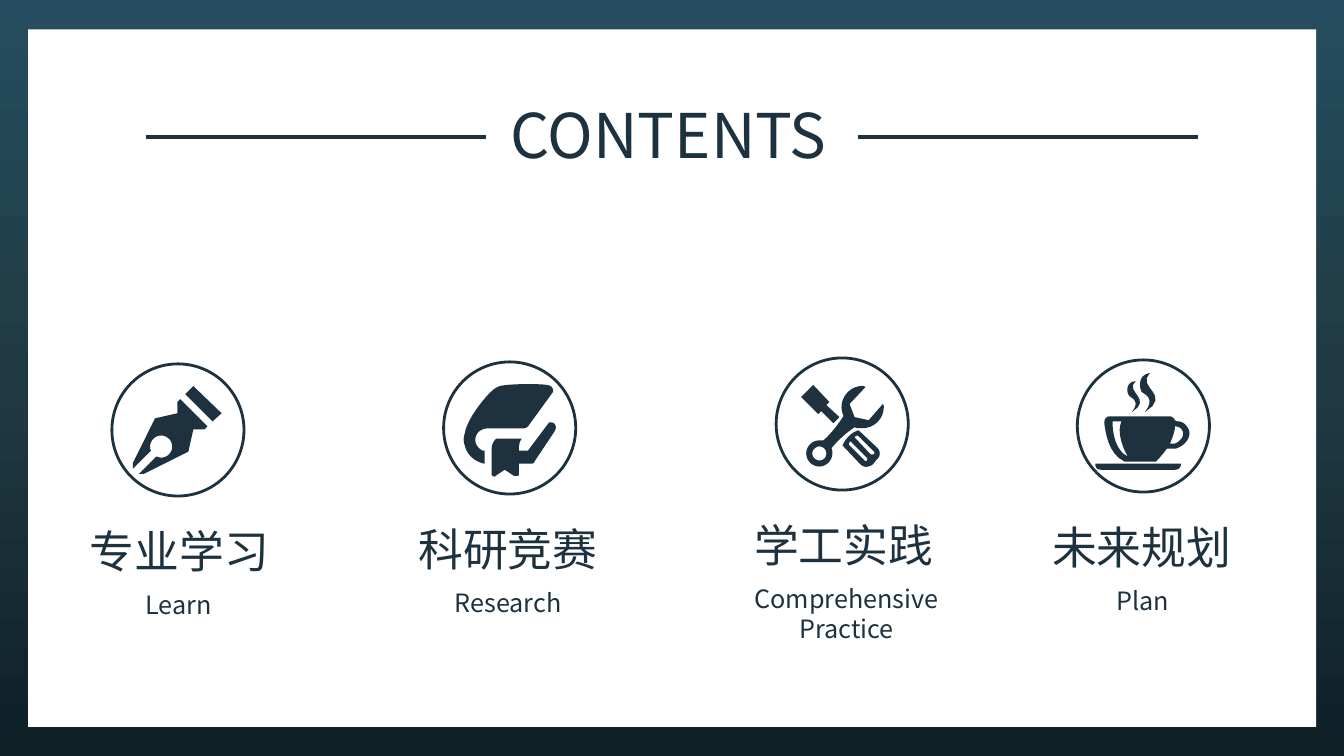
from dataclasses import dataclass

from lxml import etree
from copy import deepcopy
from pptx import Presentation
from pptx import util as u
from pptx.dml.color import RGBColor
from pptx.enum import shapes, text
from pptx.oxml.ns import qn
from pptx.slide import Slide

INK = RGBColor(0x1D, 0x32, 0x3E)
WHITE = RGBColor(0xFF, 0xFF, 0xFF)
BACKDROP = (
    (0.0, RGBColor(0x0F, 0x20, 0x27)),
    (0.5, RGBColor(0x20, 0x3A, 0x43)),
    (1.0, RGBColor(0x25, 0x4D, 0x5F)),
)
FONT = "Noto Sans CJK SC"
RING = 3.33
LABEL_WIDTH = 5.59
TITLE_DROP = 3.91
CAPTION_DROP = 5.56
ICON_UNIT = u.Cm(0.0254)
SUBUNITS = 100
CURVE_STEPS = 8

PEN = """
M 79 35 L 52 8 L 60 0 L 88 27 Z
M 71 43 L 60 43 L 55 65 L 11 87 L 6 87 L 23 70 C 25 70 26 71 28 71
C 34 71 39 66 39 60 C 39 54 34 49 28 49 C 22 49 17 54 17 60
C 17 61 17 63 18 64 L 0 82 L 0 76 L 22 32 L 44 27 L 44 16 L 47 13 L 74 40 Z
"""
BOOK = """
M 85 38 L 87 38 C 90 38 93 41 91 46 L 71 76 C 70 79 68 79 67 79 L 55 79 L 55 88
C 55 90 55 91 54 91 L 50 91 L 41 85 L 32 91 C 32 92 30 92 29 91
C 28 91 28 90 28 88 L 28 64 C 28 59 31 55 33 54 L 58 54
C 55 57 55 63 55 66 L 64 66 Z
M 63 0 C 70 0 78 0 84 1 C 89 2 90 7 88 9 L 64 42 C 63 43 61 44 59 44 L 23 44
C 19 44 10 48 12 58 C 13 61 15 64 19 66 L 21 66 L 21 79 C 16 78 4 74 1 60
C 0 57 0 53 1 50 C 3 34 24 10 28 7 C 30 5 33 3 36 2 C 39 1 50 0 63 0 Z
"""
TOOLS = """
M 53 42 C 55 43 58 43 61 43 C 72 43 82 34 82 22 C 82 21 82 20 81 19
L 67 35 L 53 32 L 48 19 L 64 2 C 63 2 62 1 61 1 C 49 1 40 11 40 22
C 40 25 41 28 42 31 C 35 42 26 52 22 55 C 21 55 20 55 18 55
C 11 55 5 61 5 68 C 5 75 11 81 18 81 C 25 81 31 75 31 68
C 31 66 31 64 30 63 C 33 59 41 50 53 42 Z
M 18 75 C 15 75 11 72 11 68 C 11 64 15 61 18 61 C 22 61 25 64 25 68
C 25 72 22 75 18 75 Z
M 20 26 L 32 38 L 38 32 L 25 20 L 28 17 L 12 0 L 0 12 L 17 29 Z
M 57 45 C 57 45 47 47 41 60 L 59 79 C 62 82 67 82 71 79 L 75 74
C 79 71 79 65 75 62 Z
M 65 75 C 65 76 63 76 63 75 L 48 60 C 47 59 47 58 48 57
C 48 56 50 56 50 57 L 65 72 C 66 73 66 74 65 75 Z
M 72 69 C 71 69 70 69 69 69 L 54 53 C 53 53 53 51 54 51
C 55 50 56 50 57 51 L 72 66 C 73 66 73 68 72 69 Z
"""
CUP = """
M 81 75 L 72 75 C 69 79 65 84 61 88 L 30 88 C 13 80 11 57 10 51 L 10 48
C 10 46 12 43 15 43 L 75 43 C 77 43 79 45 80 47 L 82 48 C 84 48 85 48 87 49
L 89 50 L 91 52 L 93 55 L 94 57 C 96 64 90 72 81 75 Z
M 27 48 L 18 48 C 18 48 17 75 33 83 C 20 59 27 48 27 48 Z
M 88 59 C 87 55 84 53 80 53 C 80 57 78 63 75 70 L 80 70 C 85 68 89 63 88 59 Z
M 50 39 C 61 25 50 21 47 19 C 45 16 42 2 55 0 C 41 15 78 21 50 39 Z
M 37 39 C 46 28 37 25 35 23 C 32 21 30 9 41 8 C 29 19 59 25 37 39 Z
M 80 96 L 7 96 C 0 96 1 90 1 90 L 86 90 C 86 90 86 96 80 96 Z
"""


@dataclass(frozen=True)
class Topic:
    title: str
    caption: str
    ring_left: float
    ring_top: float
    title_left: float
    caption_left: float
    icon: str
    icon_left: float
    icon_top: float
    caption_height: float = 1.02


TOPICS = (
    Topic("专业学习", "Learn", 2.82, 9.17, 1.73, 1.7, PEN, 3.35, 9.73),
    Topic("科研竞赛", "Research", 11.18, 9.12, 10.01, 10.01, BOOK, 11.68, 9.68),
    Topic("学工实践", "Comprehensive Practice", 19.56, 9.02, 18.47, 18.54,
          TOOLS, 20.19, 9.7, 1.8),
    Topic("未来规划", "Plan", 27.15, 9.07, 25.98, 26.01, CUP, 27.58, 9.4),
)


def paint_background(s: Slide) -> None:
    fill = s.background.fill
    fill.gradient()
    fill.gradient_angle = 90
    stops = s._element.find(".//" + qn("a:gsLst"))
    stops.append(deepcopy(stops[-1]))
    for stop, (position, color) in zip(fill.gradient_stops, BACKDROP):
        stop.position = position
        stop.color.rgb = color


def add_text(s: Slide, content: str, *, left: float, top: float,
             width: float, height: float, size: int) -> None:
    sp = s.shapes.add_textbox(u.Cm(left), u.Cm(top), u.Cm(width), u.Cm(height))
    tf = sp.text_frame
    tf.word_wrap = True
    tf.auto_size = text.MSO_AUTO_SIZE.SHAPE_TO_FIT_TEXT
    p = tf.paragraphs[0]
    p.alignment = text.PP_ALIGN.CENTER
    r = p.add_run()
    r.text = content
    r.font.size = u.Pt(size)
    r.font.color.rgb = INK
    r.font.name = FONT
    etree.SubElement(r._r.get_or_add_rPr(), qn("a:ea"), typeface=FONT)


def add_rule(s: Slide, start: float, end: float, y: float) -> None:
    sp = s.shapes.add_connector(
        shapes.MSO_CONNECTOR.STRAIGHT, u.Cm(start), u.Cm(y), u.Cm(end), u.Cm(y))
    sp.line.color.rgb = INK
    sp.line.width = u.Pt(3)
    etree.SubElement(sp._element.spPr, qn("a:effectLst"))


def trace_outline(outline: str) -> list[tuple[float, float]]:
    tokens = outline.split()
    points = [(float(tokens[0]), float(tokens[1]))]
    rest = tokens[2:]
    while rest:
        count = 6 if rest[0] == "C" else 2
        values = [float(v) for v in rest[1:count + 1]]
        rest = rest[count + 1:]
        if count == 2:
            points.append((values[0], values[1]))
            continue
        nodes = [points[-1], *zip(values[::2], values[1::2])]
        for step in range(1, CURVE_STEPS + 1):
            t = step / CURVE_STEPS
            weights = ((1 - t) ** 3, 3 * t * (1 - t) ** 2, 3 * t * t * (1 - t), t ** 3)
            points.append((sum(w * n[0] for w, n in zip(weights, nodes)),
                           sum(w * n[1] for w, n in zip(weights, nodes))))
    return [(x * SUBUNITS, y * SUBUNITS) for x, y in points]


def add_icon(s: Slide, icon: str, left: float, top: float) -> None:
    contours = [trace_outline(part.replace("Z", "")) for part in icon.split("M")[1:]]
    builder = s.shapes.build_freeform(*contours[0][0], scale=ICON_UNIT / SUBUNITS)
    for i, contour in enumerate(contours):
        if i:
            builder.move_to(*contour[0])
        builder.add_line_segments(contour[1:], close=True)
    sp = builder.convert_to_shape(u.Cm(left), u.Cm(top))
    sp.shadow.inherit = False
    sp.fill.solid()
    sp.fill.fore_color.rgb = INK
    sp.line.fill.background()


def add_topic(s: Slide, topic: Topic) -> None:
    sp = s.shapes.add_shape(shapes.MSO_SHAPE.OVAL, u.Cm(topic.ring_left),
                            u.Cm(topic.ring_top), u.Cm(RING), u.Cm(RING))
    sp.shadow.inherit = False
    sp.fill.background()
    sp.line.color.rgb = INK
    sp.line.width = u.Pt(2)
    add_icon(s, topic.icon, topic.icon_left, topic.icon_top)
    add_text(s, topic.title, left=topic.title_left, top=topic.ring_top + TITLE_DROP,
             width=LABEL_WIDTH, height=1.63, size=32)
    add_text(s, topic.caption, left=topic.caption_left,
             top=topic.ring_top + CAPTION_DROP, width=LABEL_WIDTH,
             height=topic.caption_height, size=18)


def main() -> None:
    prs = Presentation()
    prs.slide_width, prs.slide_height = u.Cm(33.87), u.Cm(19.05)
    s = prs.slides.add_slide(prs.slide_layouts[6])
    paint_background(s)
    sp = s.shapes.add_shape(shapes.MSO_SHAPE.RECTANGLE, u.Cm(0.71), u.Cm(0.74),
                            u.Cm(32.46), u.Cm(17.58))
    sp.shadow.inherit = False
    sp.fill.solid()
    sp.fill.fore_color.rgb = WHITE
    sp.line.fill.background()
    add_text(s, "CONTENTS", left=12.24, top=2.31, width=9.22, height=2.13, size=44)
    for start, end in ((3.68, 12.24), (21.62, 30.2)):
        add_rule(s, start, end, 3.45)
    for topic in TOPICS:
        add_topic(s, topic)
    prs.save("out.pptx")


if __name__ == "__main__":
    main()
